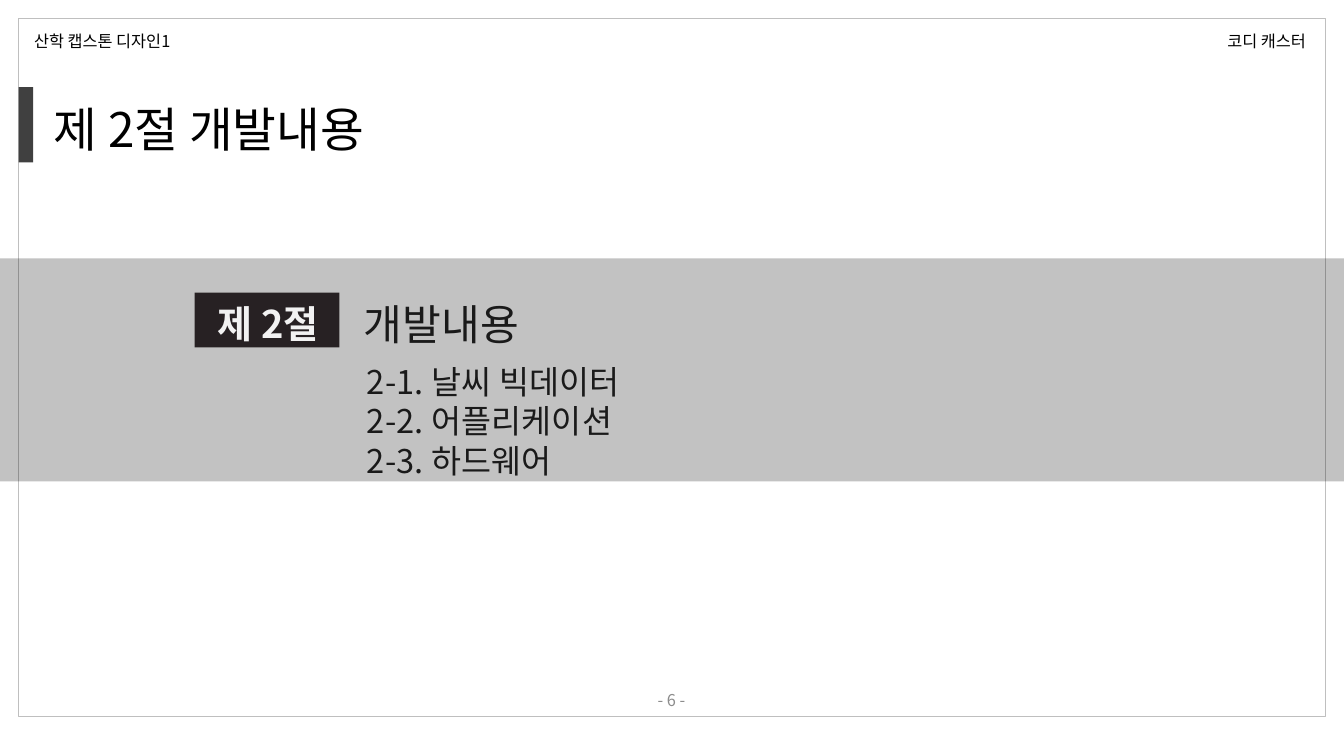
from dataclasses import dataclass

from lxml import etree
from pptx import Presentation
from pptx.dml.color import RGBColor
from pptx.enum.shapes import MSO_SHAPE
from pptx.enum.text import MSO_ANCHOR, MSO_AUTO_SIZE, PP_ALIGN
from pptx.oxml.ns import qn
from pptx.shapes.autoshape import Shape
from pptx.slide import Slide
from pptx.util import Inches, Pt

RECT = MSO_SHAPE.RECTANGLE
TOP, MIDDLE = MSO_ANCHOR.TOP, MSO_ANCHOR.MIDDLE
LEFT, CENTER = PP_ALIGN.LEFT, PP_ALIGN.CENTER
FIXED = MSO_AUTO_SIZE.NONE


@dataclass(frozen=True)
class Theme:
    font: str = "Noto Sans CJK KR"
    black: str = "000000"
    ink: str = "1A1A1A"
    pale: str = "F2F2F2"
    gray: str = "8C8C8C"
    frame: str = "BFBFBF"
    accent: str = "404040"
    badge: str = "272123"
    title: int = 35
    head: int = 31
    label: int = 28
    item: int = 24
    small: int = 12
    leading: float = 1.2


@dataclass(frozen=True)
class Box:
    left: float
    top: float
    width: float
    height: float


@dataclass(frozen=True)
class Block:
    box: Box
    fill: str = ""
    line: str = ""
    alpha: int = 100


@dataclass(frozen=True)
class Label:
    box: Box
    text: str
    size: int
    color: str
    bold: bool = False
    align: PP_ALIGN = LEFT
    anchor: MSO_ANCHOR = TOP
    side: float = 0.1
    track: int = 0


THEME = Theme()

BLOCKS = [
    Block(Box(0.19, 0.19, 13.36, 7.13), line=THEME.frame),
    Block(Box(-0.28, 2.64, 14.31, 2.28), fill=THEME.black, alpha=24),
    Block(Box(1.99, 2.99, 1.48, 0.56), fill=THEME.badge),
    Block(Box(0.19, 0.89, 0.15, 0.77), fill=THEME.accent),
]

TITLE = Label(Box(0.45, 0.97, 7.59, 0.67), "제 2절 개발내용", THEME.title, THEME.black)
ITEMS = Label(Box(3.65, 3.65, 6.45, 1.3),
              "2-1. 날씨 빅데이터\n2-2. 어플리케이션\n2-3. 하드웨어",
              THEME.item, THEME.ink, track=10)
LABELS = [
    Label(Box(3.62, 3, 4.53, 0.62), "개발내용", THEME.head, THEME.ink, track=10),
    Label(Box(2.01, 3.02, 1.46, 0.57), "제 2절", THEME.label, THEME.pale,
          bold=True, align=CENTER, side=0),
    Label(Box(4.69, 6.95, 4.35, 0.4), "- 6 -", THEME.small, THEME.gray,
          align=CENTER, anchor=MIDDLE),
    Label(Box(12.45, 0.27, 1.23, 0.3), "코디 캐스터", THEME.small, THEME.black),
    Label(Box(0.25, 0.27, 2.2, 0.3), "산학 캡스톤 디자인1", THEME.small, THEME.black),
]


def place(shape: Shape, box: Box) -> None:
    shape.left, shape.top = Inches(box.left), Inches(box.top)
    shape.width, shape.height = Inches(box.width), Inches(box.height)


def write(shape: Shape, text: str, *, size: int, color: str, bold: bool,
          align: PP_ALIGN, anchor: MSO_ANCHOR, side: float, track: int) -> None:
    frame = shape.text_frame
    frame.word_wrap = True
    frame.auto_size = FIXED
    frame.vertical_anchor = anchor
    frame.margin_left = frame.margin_right = Inches(side)
    frame.margin_top = frame.margin_bottom = Inches(0.05)
    frame.text = text
    for para in frame.paragraphs:
        para.alignment = align
        para.line_spacing = Pt(size * THEME.leading)
        para.space_before = para.space_after = Pt(0)
        props = para._p.get_or_add_pPr()
        props.set("marL", "0")
        props.set("indent", "0")
        etree.SubElement(props, qn("a:buNone"))
        for run in para.runs:
            font = run.font
            font.size, font.bold, font.name = Pt(size), bold, THEME.font
            font.color.rgb = RGBColor.from_string(color)
            props = run._r.get_or_add_rPr()
            props.set("spc", str(track))
            etree.SubElement(props, qn("a:ea"), typeface=THEME.font)


def fill_label(shape: Shape, label: Label) -> None:
    place(shape, label.box)
    write(shape, label.text, size=label.size, color=label.color, bold=label.bold,
          align=label.align, anchor=label.anchor, side=label.side, track=label.track)


def draw_block(slide: Slide, block: Block) -> None:
    shape = slide.shapes.add_shape(RECT, 0, 0, 0, 0)
    place(shape, block.box)
    shape.shadow.inherit = False
    if block.fill:
        shape.fill.solid()
        shape.fill.fore_color.rgb = RGBColor.from_string(block.fill)
    else:
        shape.fill.background()
    if block.alpha < 100:
        color = shape.element.find(".//" + qn("a:srgbClr"))
        etree.SubElement(color, qn("a:alpha"), val=str(block.alpha * 1000))
    if block.line:
        shape.line.color.rgb = RGBColor.from_string(block.line)
        shape.line.width = Pt(1)
    else:
        shape.line.fill.background()


def main() -> None:
    deck = Presentation()
    deck.slide_width, deck.slide_height = Inches(13.74), Inches(7.5)
    slide = deck.slides.add_slide(deck.slide_layouts[1])
    for block in BLOCKS:
        draw_block(slide, block)
    for shape, label in zip(list(slide.placeholders), (TITLE, ITEMS)):
        fill_label(shape, label)
        shape.element.getparent().append(shape.element)
    for label in LABELS:
        fill_label(slide.shapes.add_textbox(0, 0, 0, 0), label)
    deck.save("out.pptx")


if __name__ == "__main__":
    main()
